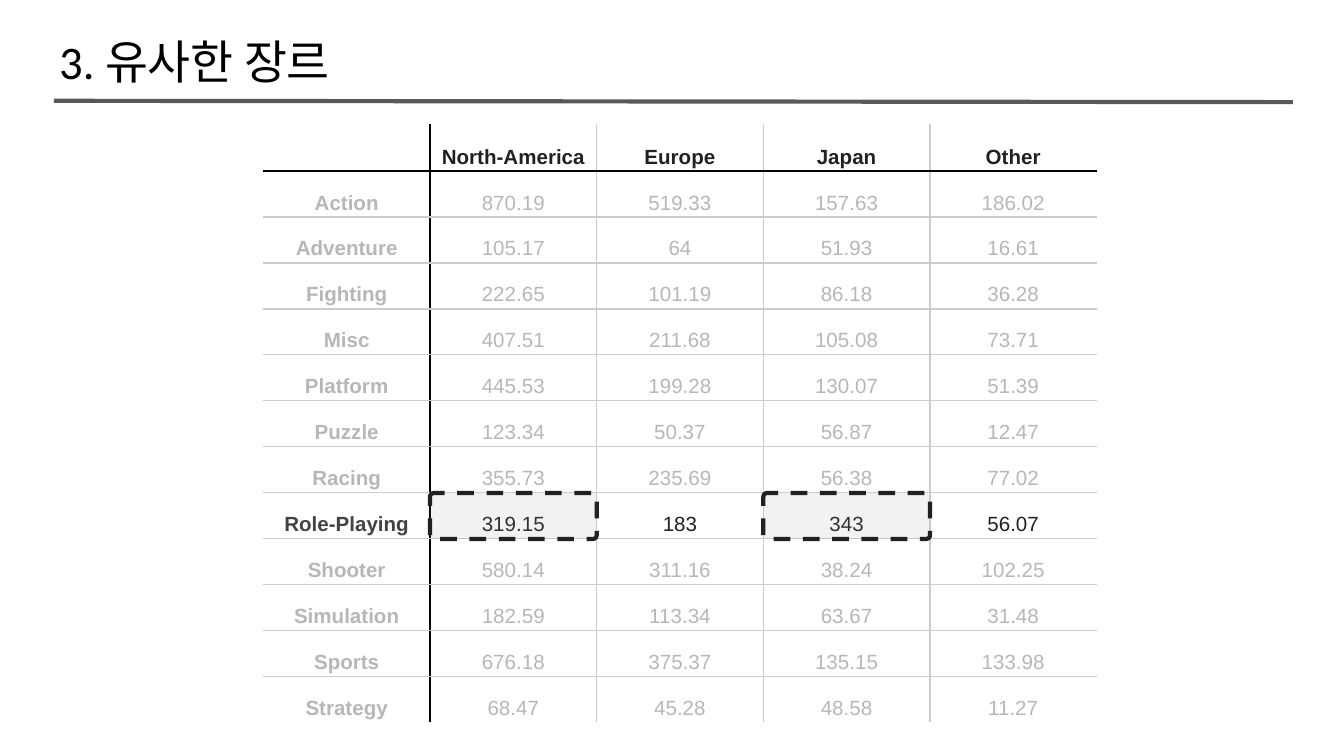
from dataclasses import dataclass

from lxml import etree
from pptx import Presentation
from pptx import util as u
from pptx.dml.color import RGBColor
from pptx.enum import dml, shapes, text
from pptx.oxml import ns


@dataclass(frozen=True)
class Theme:
    head: str = "Calibri"
    body: str = "Arial"
    big: float = 25
    small: float = 11
    thin: float = 0.75
    thick: float = 2.25
    black: str = "000000"
    white: str = "FFFFFF"
    dark: str = "212121"
    label: str = "434343"
    faded: str = "B7B7B7"
    grid: str = "CCCCCC"
    rule: str = "595959"
    mark: str = "9E9E9E"


THEME = Theme()
LEFT, TOP = 1.96, 0.93
COL = 1.24
FOCUS = "Role-Playing"
ROWS = [
    ("", "North-America", "Europe", "Japan", "Other"),
    ("Action", "870.19", "519.33", "157.63", "186.02"),
    ("Adventure", "105.17", "64", "51.93", "16.61"),
    ("Fighting", "222.65", "101.19", "86.18", "36.28"),
    ("Misc", "407.51", "211.68", "105.08", "73.71"),
    ("Platform", "445.53", "199.28", "130.07", "51.39"),
    ("Puzzle", "123.34", "50.37", "56.87", "12.47"),
    ("Racing", "355.73", "235.69", "56.38", "77.02"),
    (FOCUS, "319.15", "183", "343", "56.07"),
    ("Shooter", "580.14", "311.16", "38.24", "102.25"),
    ("Simulation", "182.59", "113.34", "63.67", "31.48"),
    ("Sports", "676.18", "375.37", "135.15", "133.98"),
    ("Strategy", "68.47", "45.28", "48.58", "11.27"),
]
ROW = 4.45 / len(ROWS)


def color(code):
    return RGBColor.from_string(code)


def child(node, tag, **attrs):
    return etree.SubElement(node, ns.qn(tag), **attrs)


def add_run(para, words, face, size, code, bold=False):
    run = para.add_run()
    run.text = words
    font = run.font
    font.name, font.size, font.bold = face, u.Pt(size), bold
    font.color.rgb = color(code)


def add_title(slide, words):
    title = slide.shapes.title
    title.left, title.top = u.Inches(0.34), u.Inches(0.14)
    title.width, title.height = u.Inches(9.32), u.Inches(0.62)
    frame = title.text_frame
    frame.margin_left = frame.margin_right = u.Inches(0.1)
    frame.margin_top = frame.margin_bottom = u.Inches(0.1)
    frame.vertical_anchor = text.MSO_ANCHOR.BOTTOM
    frame.auto_size = text.MSO_AUTO_SIZE.NONE
    para = frame.paragraphs[0]
    para.alignment = text.PP_ALIGN.LEFT
    add_run(para, words, THEME.head, THEME.big, THEME.black)


def add_rule(slide):
    line = slide.shapes.add_connector(
        shapes.MSO_CONNECTOR.STRAIGHT,
        u.Inches(0.4), u.Inches(0.75), u.Inches(9.62), u.Inches(0.76))
    line.line.color.rgb = color(THEME.rule)
    line.line.width = u.Pt(THEME.thick)
    child(line._element.spPr, "a:effectLst")


def edge_color(index, last):
    if index in (0, last):
        return THEME.white
    return THEME.black if index == 1 else THEME.grid


def set_edges(cell, row, col):
    props = cell._tc.get_or_add_tcPr()
    wide, high = len(ROWS[0]), len(ROWS)
    edges = {
        "a:lnL": edge_color(col, wide),
        "a:lnR": edge_color(col + 1, wide),
        "a:lnT": edge_color(row, high),
        "a:lnB": edge_color(row + 1, high),
    }
    for tag, code in edges.items():
        line = child(props, tag, w=str(u.Pt(THEME.thin)))
        child(child(line, "a:solidFill"), "a:srgbClr", val=code)


def text_color(row, col):
    if ROWS[row][0] == FOCUS:
        return THEME.label if col == 0 else THEME.dark
    return THEME.dark if row == 0 else THEME.faded


def fill_cell(cell, row, col):
    set_edges(cell, row, col)
    cell.fill.solid()
    cell.fill.fore_color.rgb = color(THEME.white)
    cell.margin_left = cell.margin_right = u.Inches(0.03)
    cell.margin_top = cell.margin_bottom = u.Inches(0.02)
    cell.vertical_anchor = text.MSO_ANCHOR.BOTTOM
    para = cell.text_frame.paragraphs[0]
    para.alignment = text.PP_ALIGN.CENTER
    para.line_spacing = 1.15
    words = ROWS[row][col]
    if words:
        add_run(para, words, THEME.body, THEME.small,
                text_color(row, col), row == 0 or col == 0)
    else:
        child(para._p, "a:endParaRPr", sz=str(THEME.small * 100))


def add_grid(slide):
    wide, high = len(ROWS[0]), len(ROWS)
    table = slide.shapes.add_table(
        high, wide, u.Inches(LEFT), u.Inches(TOP),
        u.Inches(COL * wide), u.Inches(ROW * high)).table
    table.first_row = table.horz_banding = False
    for col in table.columns:
        col.width = u.Inches(COL)
    for row in range(high):
        table.rows[row].height = u.Inches(ROW)
        for col in range(wide):
            fill_cell(table.cell(row, col), row, col)


def add_mark(slide, row, col):
    box = slide.shapes.add_shape(
        shapes.MSO_SHAPE.ROUNDED_RECTANGLE,
        u.Inches(LEFT + COL * col), u.Inches(TOP + ROW * row),
        u.Inches(COL), u.Inches(ROW))
    box.adjustments[0] = 0.08
    box.shadow.inherit = False
    box.fill.solid()
    box.fill.fore_color.rgb = color(THEME.mark)
    tint = box._element.spPr.find(ns.qn("a:solidFill"))[0]
    child(tint, "a:alpha", val="13000")
    box.line.color.rgb = color(THEME.dark)
    box.line.width = u.Pt(THEME.thick)
    box.line.dash_style = dml.MSO_LINE.DASH


def main():
    deck = Presentation()
    deck.slide_width = u.Inches(10)
    deck.slide_height = deck.slide_width * 9 // 16
    slide = deck.slides.add_slide(deck.slide_layouts.get_by_name("Title Only"))
    add_rule(slide)
    add_title(slide, "3. 유사한 장르")
    add_grid(slide)
    focus = [row[0] for row in ROWS].index(FOCUS)
    for name in ("Japan", "North-America"):
        add_mark(slide, focus, ROWS[0].index(name))
    deck.save("out.pptx")


if __name__ == "__main__":
    main()
